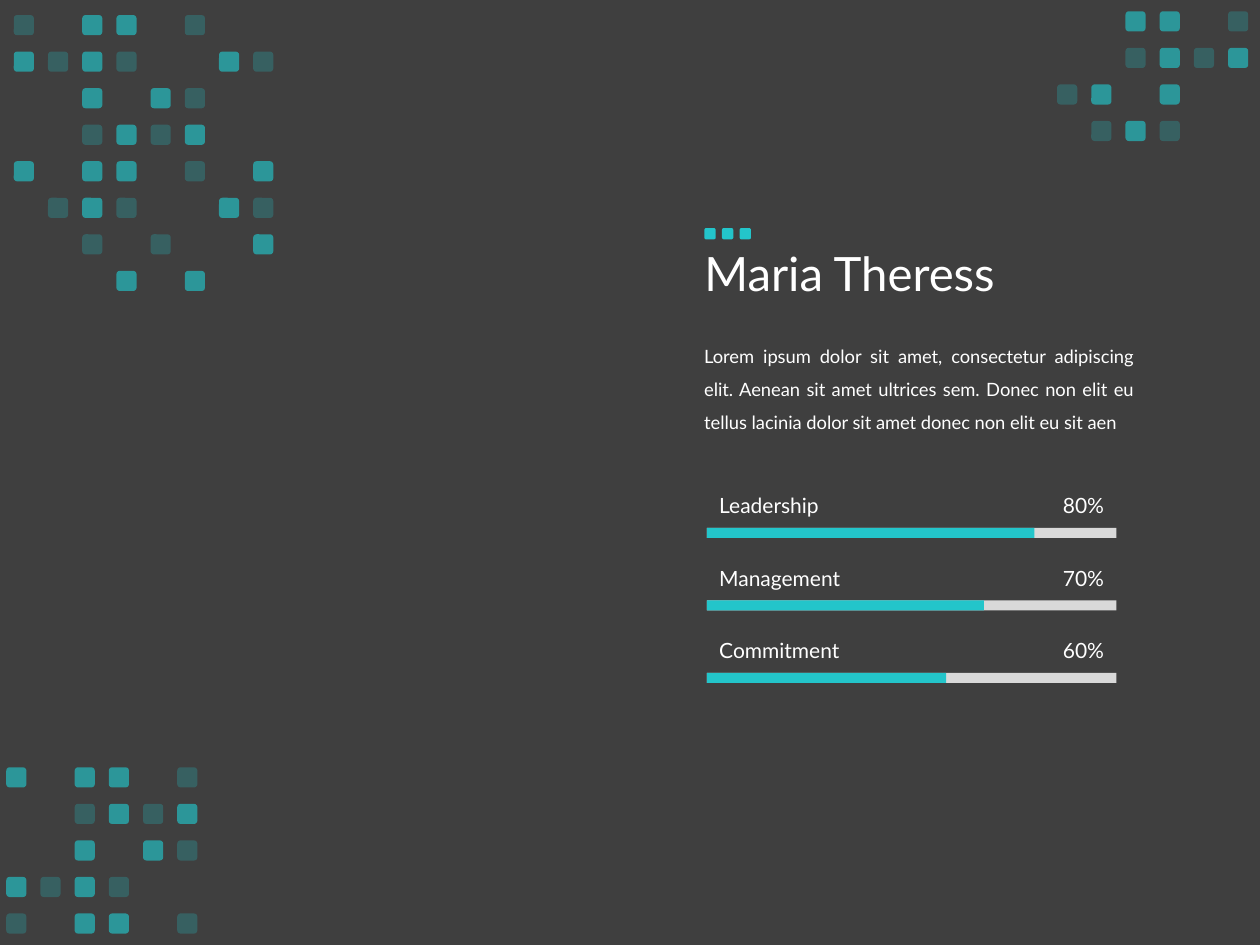
from dataclasses import dataclass
from typing import Any

from lxml.etree import SubElement
from pptx import Presentation
from pptx.dml.color import RGBColor
from pptx.enum.shapes import MSO_SHAPE
from pptx.enum.text import MSO_ANCHOR, MSO_AUTO_SIZE, PP_ALIGN
from pptx.oxml.ns import qn
from pptx.util import Inches, Pt

DARK = RGBColor(0x3F, 0x3F, 0x3F)
TEAL = RGBColor(0x23, 0xC5, 0xCA)
GRAY = RGBColor(0xD9, 0xD9, 0xD9)
WHITE = RGBColor(0xFF, 0xFF, 0xFF)

TILE_SIZE = 0.16
COLUMN_STEP = 1.9 / 7
ROW_STEP = 0.29
TILE_OPACITY = {"#": 65, "-": 25}

MOSAICS = [
    (0.05, 6.09, ["#.##.-", "..-#-#", "..#.#-", "#-#-..", "-.##.-"]),
    (0.11, 0.12, ["-.##.-..", "#-#-..#-", "..#.#-..", "..-#-#..",
                  "#.##.-.#", ".-#-..#-", "..-.-..#", "...#.#.."]),
    (8.39, 0.09, ["..##.-", "..-#-#", "-#.#..", ".-#-.."]),
]

SKILLS = [("Leadership", "80%", 2.6), ("Management", "70%", 2.2), ("Commitment", "60%", 1.9)]
SKILL_LEFT = 5.61
SKILL_TOP = 3.86
SKILL_STEP = 1.15 / 2
SKILL_WIDTH = 3.25
VALUE_WIDTH = 0.79


@dataclass
class SlideBuilder:
    slide: Any
    font_name: str = "Lato"
    font_color: RGBColor = WHITE

    def background(self, color):
        fill = self.slide.background.fill
        fill.solid()
        fill.fore_color.rgb = color

    def shape(self, kind, left, top, width, height, color, opacity=100, parent=None):
        shapes = (parent or self.slide).shapes
        shape = shapes.add_shape(kind, Inches(left), Inches(top), Inches(width), Inches(height))
        shape.shadow.inherit = False
        shape.fill.solid()
        shape.fill.fore_color.rgb = color
        shape.line.fill.background()
        if opacity < 100:
            color_node = shape.element.spPr.find(qn("a:solidFill"))[0]
            SubElement(color_node, qn("a:alpha"), val=str(opacity * 1000))
        return shape

    def mosaic(self, left, top, rows):
        group = self.slide.shapes.add_group_shape()
        for row, marks in enumerate(rows):
            for column, mark in enumerate(marks):
                if mark in TILE_OPACITY:
                    self.shape(MSO_SHAPE.ROUNDED_RECTANGLE,
                               left + column * COLUMN_STEP, top + row * ROW_STEP,
                               TILE_SIZE, TILE_SIZE, TEAL, TILE_OPACITY[mark], group)

    def dots(self, left, top, size, step, count):
        group = self.slide.shapes.add_group_shape()
        for index in range(count):
            self.shape(MSO_SHAPE.ROUNDED_RECTANGLE, left + index * step, top,
                       size, size, TEAL, parent=group)

    def set_text(self, box, text, size, frame_format, para_format):
        frame = box.text_frame
        for name, value in {"word_wrap": True, **frame_format}.items():
            setattr(frame, name, value)
        para = frame.paragraphs[0]
        for name, value in para_format.items():
            setattr(para, name, value)
        span = para.add_run()
        span.text = text
        for name, value in {"name": self.font_name, "size": Pt(size)}.items():
            setattr(span.font, name, value)
        span.font.color.rgb = self.font_color

    def title(self, left, top, width, height, text, size):
        box = self.slide.shapes.title
        place = {"left": left, "top": top, "width": width, "height": height}
        for name, value in place.items():
            setattr(box, name, Inches(value))
        self.set_text(box, text, size,
                      {"vertical_anchor": MSO_ANCHOR.MIDDLE, "auto_size": MSO_AUTO_SIZE.NONE},
                      {"alignment": PP_ALIGN.LEFT, "line_spacing": 0.9})

    def text(self, left, top, width, height, text, size, anchor=MSO_ANCHOR.MIDDLE, **para_format):
        box = self.slide.shapes.add_textbox(Inches(left), Inches(top), Inches(width), Inches(height))
        self.set_text(box, text, size,
                      {"vertical_anchor": anchor, "auto_size": MSO_AUTO_SIZE.SHAPE_TO_FIT_TEXT},
                      para_format)

    def skill(self, top, label, value, filled_width):
        for width, color in ((SKILL_WIDTH, GRAY), (filled_width, TEAL)):
            self.shape(MSO_SHAPE.RECTANGLE, SKILL_LEFT, top + 0.33, width, 0.08, color)
        self.text(SKILL_LEFT, top, 1.55, 0.3, label, 12)
        self.text(SKILL_LEFT + SKILL_WIDTH - VALUE_WIDTH, top, VALUE_WIDTH, 0.3, value, 12,
                  alignment=PP_ALIGN.RIGHT)


def main():
    deck = Presentation()
    deck.slide_width = Inches(10)
    deck.slide_height = Inches(7.5)
    page = SlideBuilder(deck.slides.add_slide(deck.slide_layouts[5]))
    page.background(DARK)
    for left, top, rows in MOSAICS:
        page.mosaic(left, top, rows)
    page.title(5.49, 1.47, 8.62, 1.45, "Maria Theress", 27)
    page.text(5.49, 2.6, 3.61, 0.86,
              "Lorem ipsum dolor sit amet, consectetur adipiscing elit. "
              "Aenean sit amet ultrices sem. Donec non elit eu tellus lacinia "
              "dolor sit amet donec non elit eu sit aen",
              10.5, MSO_ANCHOR.TOP, alignment=PP_ALIGN.JUSTIFY, line_spacing=1.5)
    for index, (label, value, filled_width) in enumerate(SKILLS):
        page.skill(SKILL_TOP + index * SKILL_STEP, label, value, filled_width)
    page.dots(5.59, 1.81, 0.09, 0.14, 3)
    deck.save("out.pptx")


if __name__ == "__main__":
    main()
